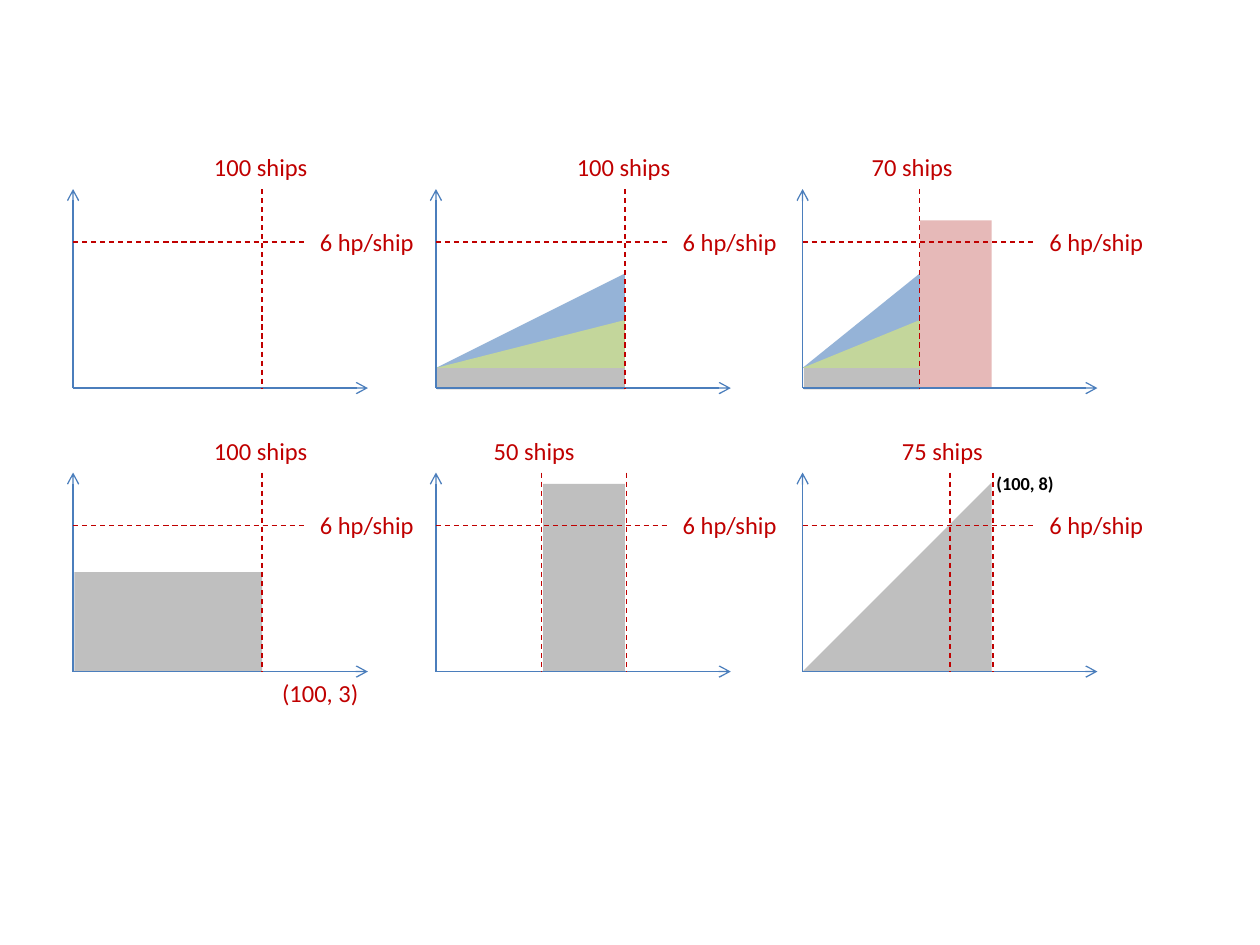
from dataclasses import dataclass

from lxml import etree
from pptx import Presentation
from pptx.dml.color import RGBColor
from pptx.enum.dml import MSO_LINE
from pptx.enum.shapes import MSO_CONNECTOR, MSO_SHAPE
from pptx.enum.text import MSO_AUTO_SIZE
from pptx.oxml.ns import qn
from pptx.util import Inches, Pt

DASH = MSO_LINE.DASH
STRAIGHT = MSO_CONNECTOR.STRAIGHT
RECTANGLE = MSO_SHAPE.RECTANGLE
TRIANGLE = MSO_SHAPE.ISOSCELES_TRIANGLE
FIT_SHAPE = MSO_AUTO_SIZE.SHAPE_TO_FIT_TEXT


@dataclass(frozen=True)
class Theme:
    font: str = "Calibri"
    limit: str = "C00000"
    axis: str = "4B7EBC"
    ink: str = "000000"
    gray: str = "BFBFBF"
    blue: str = "95B3D7"
    green: str = "C3D69B"
    pink: str = "E6B9B8"
    label_size: float = 14
    note_size: float = 10.5
    line_width: float = 0.75


class Sketch:
    def __init__(self, slide, theme):
        self.shapes = slide.shapes
        self.theme = theme

    def area(self, kind, left, top, width, height, color):
        shape = self.shapes.add_shape(
            kind, Inches(left), Inches(top), Inches(width), Inches(height))
        shape.shadow.inherit = False
        shape.fill.solid()
        shape.fill.fore_color.rgb = RGBColor.from_string(color)
        shape.line.fill.background()
        if kind == TRIANGLE:
            shape.adjustments[0] = 1

    def line(self, start, end, color):
        connector = self.shapes.add_connector(
            STRAIGHT, *(Inches(value) for value in (*start, *end)))
        connector.line.color.rgb = RGBColor.from_string(color)
        connector.line.width = Pt(self.theme.line_width)
        etree.SubElement(connector._element.spPr, qn("a:effectLst"))
        return connector.line

    def arrow(self, start, end):
        line = self.line(start, end, self.theme.axis)
        etree.SubElement(line._get_or_add_ln(), qn("a:tailEnd"), type="arrow")

    def dashed(self, start, end):
        self.line(start, end, self.theme.limit).dash_style = DASH

    def label(self, text, left, top, height=0.34, **changes):
        box = self.shapes.add_textbox(
            Inches(left), Inches(top), Inches(0.96), Inches(height))
        frame = box.text_frame
        frame.word_wrap = True
        frame.auto_size = FIT_SHAPE
        span = frame.paragraphs[0].add_run()
        span.text = text
        color = changes.pop("color", self.theme.limit)
        span.font.color.rgb = RGBColor.from_string(color)
        values = {"name": self.theme.font, "size": Pt(self.theme.label_size)}
        for name, value in {**values, **changes}.items():
            setattr(span.font, name, value)

    def panel(self, left, top, limit, ships):
        bottom = top + PANEL_HEIGHT
        origin = (left, bottom)
        self.arrow(origin, (left + 2.34, bottom))
        self.arrow(origin, (left, top))
        self.dashed((left, top + 0.42), (left + 1.86, top + 0.42))
        self.label("6 hp/ship", left + 1.86, top + 0.25)
        self.dashed((left + limit, top), (left + limit, bottom))
        self.label(ships, left + limit - 0.48, top - 0.34)


PANEL_HEIGHT = 1.58
COLUMNS = (0.58, 3.46, 6.37)
ROWS = (1.5, 3.75)
LIMITS = (
    ((1.5, "100 ships"), (1.5, "100 ships"), (0.93, "70 ships")),
    ((1.5, "100 ships"), (0.84, "50 ships"), (1.17, "75 ships")),
)

theme = Theme()
deck = Presentation()
deck.slide_width = Inches(10)
deck.slide_height = Inches(7.5)
sketch = Sketch(deck.slides.add_slide(deck.slide_layouts[6]), theme)

sketch.area(RECTANGLE, 7.3, 1.75, 0.57, 1.33, theme.pink)
for left, width in ((COLUMNS[1], 1.5), (COLUMNS[2], 0.93)):
    sketch.area(TRIANGLE, left, 2.17, width, 0.75, theme.blue)
    sketch.area(RECTANGLE, left + 0.01, 2.92, width - 0.01, 0.17, theme.gray)
    sketch.area(TRIANGLE, left, 2.54, width, 0.38, theme.green)

for kind, left, top, width in (
    (RECTANGLE, 0.59, 4.54, 1.49),
    (RECTANGLE, 4.31, 3.84, 0.65),
    (TRIANGLE, 6.37, 3.83, 1.5),
):
    sketch.area(kind, left, top, width, ROWS[1] + PANEL_HEIGHT - top, theme.gray)

for top, limits in zip(ROWS, LIMITS):
    for left, (limit, ships) in zip(COLUMNS, limits):
        sketch.panel(left, top, limit, ships)

for left in COLUMNS[1:]:
    sketch.dashed((left + 1.51, ROWS[1]), (left + 1.51, ROWS[1] + PANEL_HEIGHT))

sketch.label("(100, 3)", 2.14, 5.33)
sketch.label("(100, 8)", 7.81, 3.7, 0.29, color=theme.ink,
             size=Pt(theme.note_size), bold=True)

deck.save("out.pptx")
